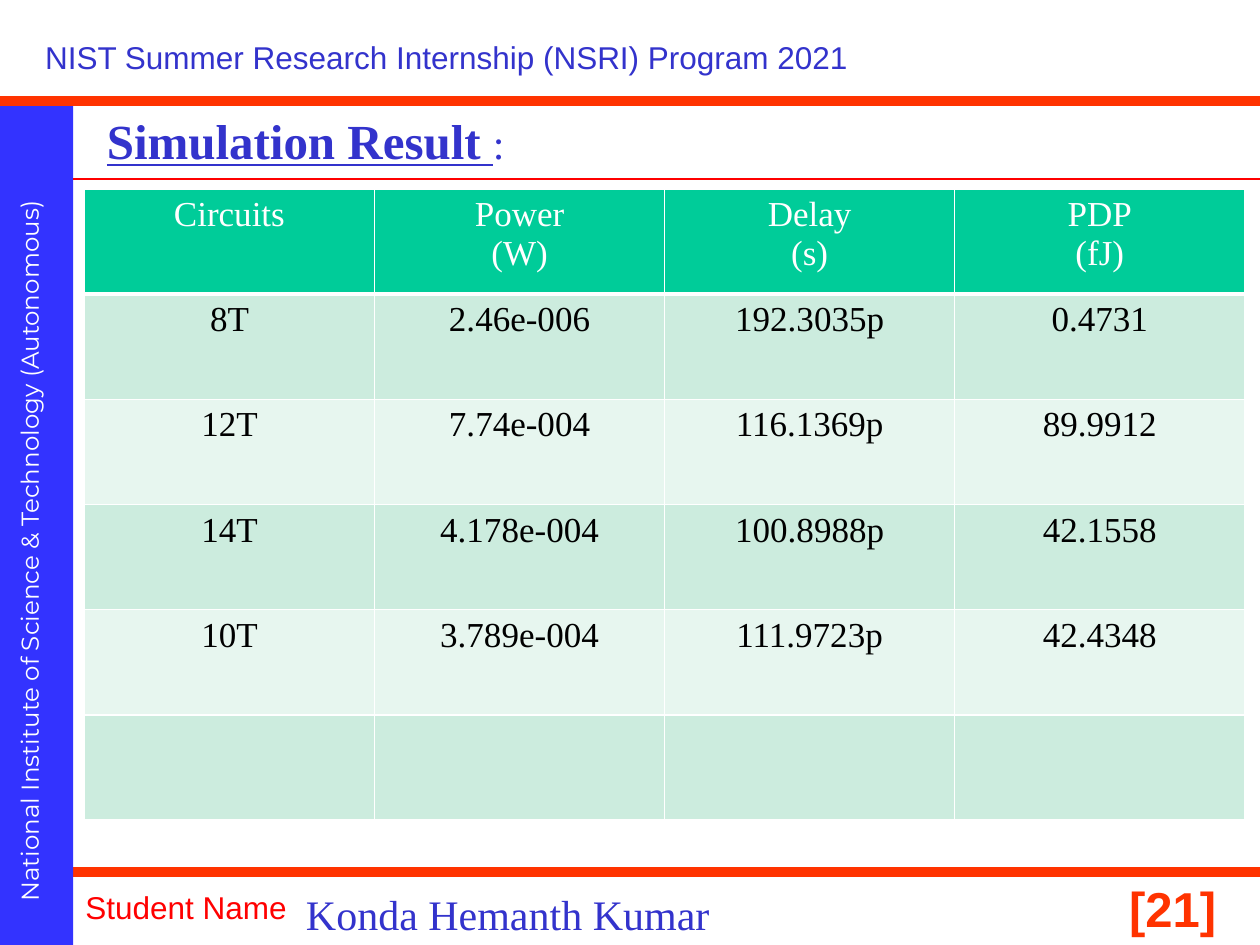
from lxml.etree import SubElement
from pptx import Presentation
from pptx.dml.color import RGBColor
from pptx.enum.shapes import MSO_CONNECTOR, MSO_SHAPE
from pptx.enum.text import PP_ALIGN
from pptx.oxml.ns import qn
from pptx.util import Inches, Pt

COLORS = {"red": "FF0000", "orange": "FF3300", "blue": "3333FF", "ink": "3333CC",
          "white": "FFFFFF", "black": "000000", "header": "00CC99",
          "band_dark": "CCECDE", "band_light": "E7F6EF"}
SERIF = "Times New Roman"

# Content
RESULTS = [
    ("Circuits", "Power\n(W)", "Delay\n(s)", "PDP\n(fJ)"),
    ("8T", "2.46e-006", "192.3035p", "0.4731"),
    ("12T", "7.74e-004", "116.1369p", "89.9912"),
    ("14T", "4.178e-004", "100.8988p", "42.1558"),
    ("10T", "3.789e-004", "111.9723p", "42.4348"),
    ("", "", "", ""),
]
# Rules: left, y, colour, weight
FOOTER_RULE = (0, 6.92, "orange", 6)
HEADER_RULES = [(0, 0.8, "orange", 6), (0.58, 1.42, "red", 0.75)]
# Text boxes: left, top, width, height, runs, format
LABELS = [
    (-2.94, 3.91, 6.35, 0.34,
     [("National Institute of Science & Technology (Autonomous)", {})],
     dict(size=14, font="Montserrat", color="white", rotation=270, before=11.2)),
    (8.67, 6.92, 1.08, 0.58, [("[21]", {})],
     dict(size=28, color="orange", bold=True, align=PP_ALIGN.RIGHT)),
    (0.26, 0.25, 6.63, 0.41,
     [("NIST Summer Research Internship (NSRI) Program 2021", {})],
     dict(size=18, wrap=False)),
    (0.58, 7, 8.42, 0.41, [("Student Name", {})], dict(size=18, color="red")),
    (0.75, 0.83, 3.5, 0.57,
     [("Simulation Result ", dict(size=28, bold=True, underline=True)), (":", {})],
     dict(size=24, font=SERIF)),
    (2.33, 7, 3.43, 0.5, [("Konda Hemanth Kumar", {})],
     dict(size=24, font=SERIF, wrap=False)),
]


def rgb(name):
    return RGBColor.from_string(COLORS[name])


def add_run(p, text, size=18, font="Arial", color="ink", bold=False, underline=False):
    r = p.add_run()
    r.text = text
    r.font.size, r.font.name = Pt(size), font
    r.font.bold, r.font.underline = bold, underline
    r.font.color.rgb = rgb(color)


def add_label(left, top, width, height, runs, wrap=True, rotation=0, before=0,
              align=PP_ALIGN.LEFT, **fmt):
    s = slide.shapes.add_textbox(Inches(left), Inches(top), Inches(width), Inches(height))
    s.rotation = rotation
    s.text_frame.word_wrap = wrap
    p = s.text_frame.paragraphs[0]
    p.alignment, p.space_before = align, Pt(before)
    for text, own in runs:
        add_run(p, text, **{**fmt, **own})


def add_rule(left, y, color, weight):
    s = slide.shapes.add_connector(MSO_CONNECTOR.STRAIGHT, Inches(left), Inches(y),
                                   Inches(10), Inches(y))
    s.line.color.rgb, s.line.width = rgb(color), Pt(weight)
    SubElement(s._element.spPr, qn("a:effectLst"))


def set_borders(cell, bottom):
    tc_pr = cell._tc.get_or_add_tcPr()
    for i, (side, weight) in enumerate([("L", 1), ("R", 1), ("T", 1), ("B", bottom)]):
        ln = SubElement(tc_pr, qn("a:ln" + side), w=str(Pt(weight)))
        SubElement(SubElement(ln, qn("a:solidFill")), qn("a:srgbClr"), val=COLORS["white"])
        tc_pr.insert(i, ln)


prs = Presentation()
prs.slide_width, prs.slide_height = Inches(10), Inches(7.5)
slide = prs.slides.add_slide(prs.slide_layouts[6])

# Frame: footer rule, sidebar, header rules
add_rule(*FOOTER_RULE)
sidebar = slide.shapes.add_shape(MSO_SHAPE.RECTANGLE, 0, Inches(0.8), Inches(0.58), Inches(6.7))
sidebar.shadow.inherit = False
sidebar.fill.solid()
sidebar.fill.fore_color.rgb = rgb("blue")
sidebar.line.fill.background()
for rule in HEADER_RULES:
    add_rule(*rule)

# Results table
n_rows, n_cols = len(RESULTS), len(RESULTS[0])
table = slide.shapes.add_table(n_rows, n_cols, Inches(0.67), Inches(1.5),
                               Inches(9.21), Inches(5.01)).table
for i, row in enumerate(RESULTS):
    fill = "header" if i == 0 else "band_dark" if i % 2 else "band_light"
    for j, text in enumerate(row):
        cell = table.cell(i, j)
        cell.fill.solid()
        cell.fill.fore_color.rgb = rgb(fill)
        set_borders(cell, bottom=1 if i else 3)
        for k, line in enumerate(text.split("\n") if text else []):
            tf = cell.text_frame
            p = tf.add_paragraph() if k else tf.paragraphs[0]
            p.alignment = PP_ALIGN.CENTER
            add_run(p, line, size=20, font=SERIF, color="black" if i else "white")

# Labels
for left, top, width, height, runs, fmt in LABELS:
    add_label(left, top, width, height, runs, **fmt)

prs.save("out.pptx")
